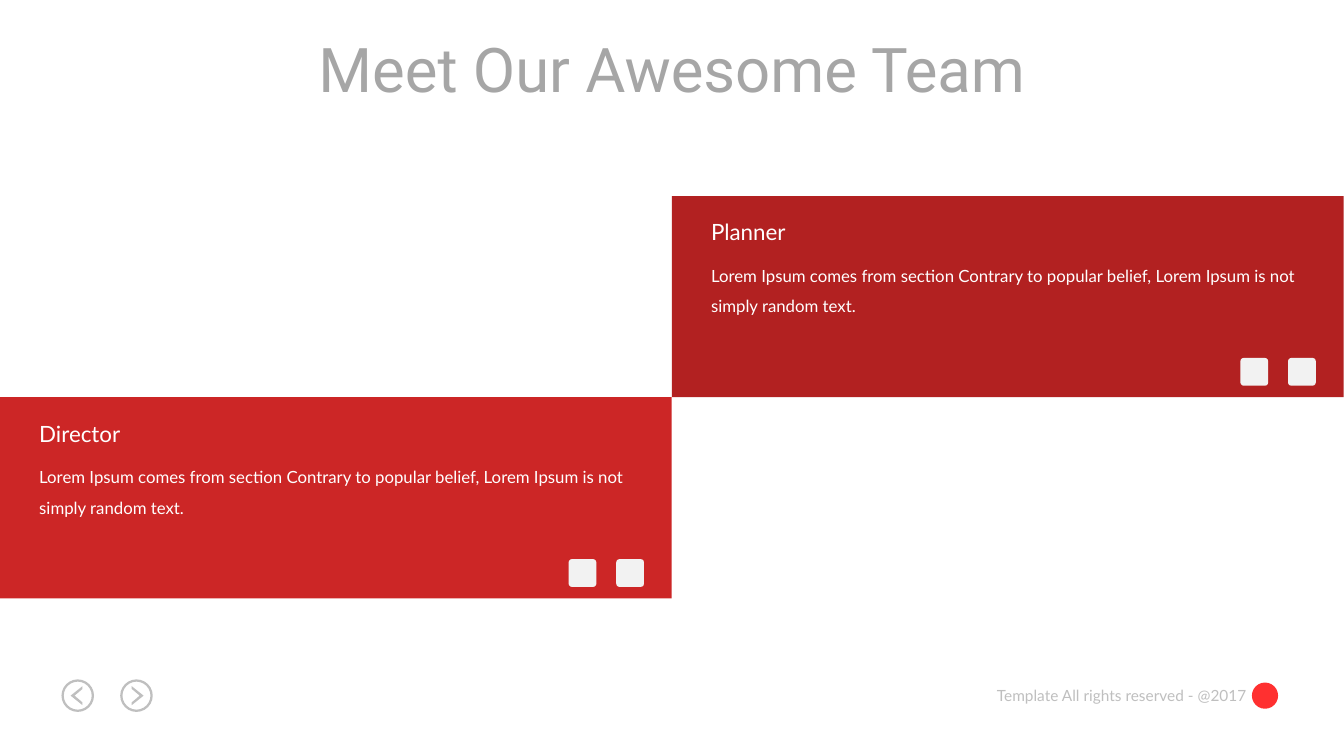
import pptx
import pptx.util
import pptx.dml.color
import pptx.enum.shapes
import pptx.enum.text

Cm = pptx.util.Cm
Pt = pptx.util.Pt
Kind = pptx.enum.shapes.MSO_SHAPE
Align = pptx.enum.text.PP_ALIGN

COLOURS = {
    "title": "A6A6A6",
    "footer": "BFBFBF",
    "director": "CC2626",
    "planner": "B22121",
    "card_text": "FFFFFF",
    "icon": "F2F2F2",
    "emblem": "FF3030",
}


class TeamSlide:
    def __init__(self, slide, colours):
        self.shapes = slide.shapes
        self.colours = colours

    def rgb(self, colour):
        return pptx.dml.color.RGBColor.from_string(self.colours[colour])

    def paint(self, shape, colour):
        shape.shadow.inherit = False
        shape.fill.solid()
        shape.fill.fore_color.rgb = self.rgb(colour)
        shape.line.fill.background()

    def shape(self, kind, left, top, width, height, colour, adjustment=None):
        shape = self.shapes.add_shape(kind, Cm(left), Cm(top), Cm(width), Cm(height))
        if adjustment is not None:
            shape.adjustments[0] = adjustment
        self.paint(shape, colour)

    def outline(self, points, colour):
        corners = [(Cm(x), Cm(y)) for x, y in points]
        builder = self.shapes.build_freeform(*corners[0])
        builder.add_line_segments(corners[1:], close=True)
        self.paint(builder.convert_to_shape(), colour)

    def text(self, words, left, top, width, height, size, colour,
             font="Lato", wrap=False, **paragraph_format):
        frame = self.shapes.add_textbox(Cm(left), Cm(top), Cm(width), Cm(height)).text_frame
        frame.word_wrap = wrap
        paragraph = frame.paragraphs[0]
        for name, value in paragraph_format.items():
            setattr(paragraph, name, value)
        run = paragraph.add_run()
        run.text = words
        for name, value in {"name": font, "size": Pt(size)}.items():
            setattr(run.font, name, value)
        run.font.color.rgb = self.rgb(colour)

    def card(self, role, biography, left, top, width, height, colour):
        self.shape(Kind.RECTANGLE, left, top, width, height, colour)
        self.text(role, left + 0.74, top + 0.44, 2.6, 0.94, 16, "card_text")
        self.text(biography, left + 0.74, top + 1.38, 15.49, 1.8, 12, "card_text",
                  wrap=True, line_spacing=1.5)
        for icon_left in (14.33, 15.53):
            self.shape(Kind.ROUNDED_RECTANGLE, left + icon_left, top + 4.08,
                       0.7, 0.7, "icon", 0.12)

    def nav_button(self, centre, middle, direction):
        self.shape(Kind.DONUT, centre - 0.41, middle - 0.41, 0.82, 0.82, "footer", 0.07)
        arrow = [(-0.12, -0.17), (0.08, 0), (-0.12, 0.17),
                 (-0.12, 0.24), (0.18, 0), (-0.12, -0.24)]
        self.outline([(centre + direction * x, middle + y) for x, y in arrow], "footer")


deck = pptx.Presentation()
deck.slide_width, deck.slide_height = Cm(33.87), Cm(19.05)
team = TeamSlide(deck.slides.add_slide(deck.slide_layouts[6]), COLOURS)

team.text("Template All rights reserved - @2017", 24.74, 17.17, 6.93, 0.73, 11, "footer",
          alignment=Align.RIGHT)
for nav_centre, nav_direction in ((1.96, -1), (3.44, 1)):
    team.nav_button(nav_centre, 17.53, nav_direction)
team.shape(Kind.OVAL, 31.55, 17.2, 0.66, 0.66, "emblem")

team.text("Meet Our Awesome Team", 7.14, 0.66, 19.6, 2.14, 44, "title",
          font="Roboto", alignment=Align.CENTER)

CARD_WIDTH, CARD_HEIGHT, CARDS_TOP = 16.93, 5.07, 4.94
BIOGRAPHY = ("Lorem Ipsum comes from section Contrary to popular belief, "
             "Lorem Ipsum is not simply random text.")
for role, column, row in (("Director", 0, 1), ("Planner", 1, 0)):
    team.card(role, BIOGRAPHY, column * CARD_WIDTH, CARDS_TOP + row * CARD_HEIGHT,
              CARD_WIDTH, CARD_HEIGHT, role.lower())

deck.save("out.pptx")
